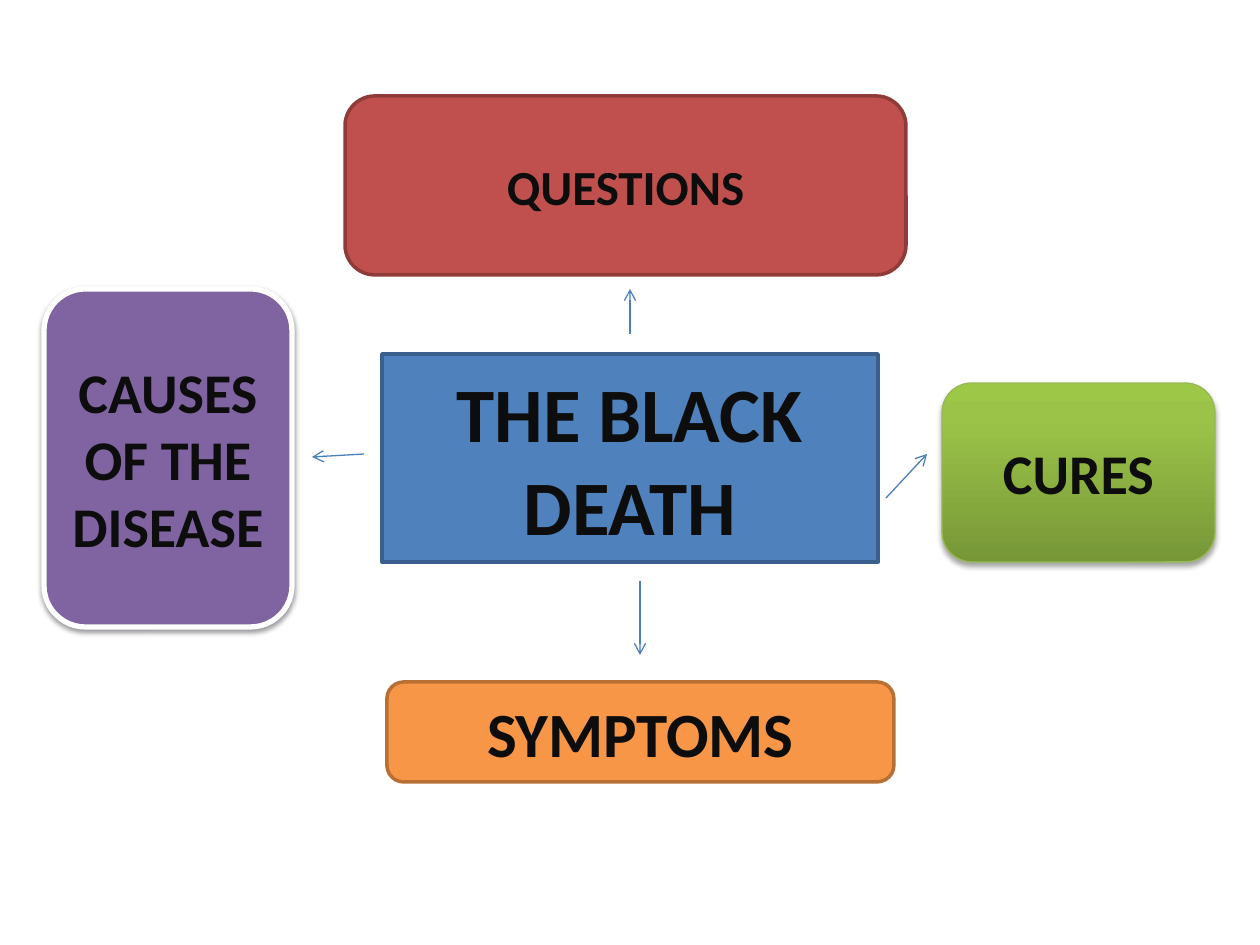
from copy import deepcopy

from lxml import etree
from pptx import Presentation
from pptx import util as u
from pptx.dml.color import RGBColor
from pptx.enum import shapes, text
from pptx.oxml import ns

PX = 914400 / 126
BLUE = RGBColor(0x4F, 0x81, 0xBD)
BLUE_EDGE = RGBColor(0x3A, 0x5F, 0x8C)
ARROW_BLUE = RGBColor(0x4B, 0x7E, 0xBC)
RED = RGBColor(0xC0, 0x50, 0x4D)
RED_EDGE = RGBColor(0x8E, 0x3B, 0x39)
PURPLE = RGBColor(0x80, 0x64, 0xA2)
ORANGE = RGBColor(0xF7, 0x96, 0x46)
ORANGE_EDGE = RGBColor(0xB7, 0x6F, 0x34)
GREEN_EDGE = RGBColor(0x98, 0xB9, 0x55)
WHITE = RGBColor(0xFF, 0xFF, 0xFF)
INK = RGBColor(0x0D, 0x0D, 0x0D)
GREEN_STOPS = [
    (0, RGBColor(0x77, 0x97, 0x37)),
    (0.8, RGBColor(0x9B, 0xC3, 0x48)),
    (1, RGBColor(0x9D, 0xC7, 0x46)),
]


def px(length):
    return u.Emu(round(length * PX))


def add_shadow(box, opacity, distance):
    """Drop a soft black shadow straight below the box."""
    effects = box._element.spPr.find(ns.qn("a:effectLst"))
    shadow = etree.SubElement(
        effects, ns.qn("a:outerShdw"), blurRad=str(u.Pt(3.1)),
        dist=str(u.Pt(distance)), dir="5400000", rotWithShape="0")
    color = etree.SubElement(shadow, ns.qn("a:srgbClr"), val="000000")
    etree.SubElement(color, ns.qn("a:alpha"), val=str(opacity * 1000))


deck = Presentation()
deck.slide_width, deck.slide_height = px(1260), px(945)
page = deck.slides.add_slide(deck.slide_layouts[6])

RECT = shapes.MSO_SHAPE.RECTANGLE
ROUND = shapes.MSO_SHAPE.ROUNDED_RECTANGLE
topics = [
    # wording, outline, left, top, width, height, fill, edge, edge pt, text pt
    ("THE BLACK DEATH", RECT, 382, 354, 496, 208, BLUE, BLUE_EDGE, 2, 44),
    ("CURES", ROUND, 942, 383, 273, 179, None, GREEN_EDGE, 0.75, 32),
    ("SYMPTOMS", ROUND, 387, 682, 507, 100, ORANGE, ORANGE_EDGE, 2, 36),
    ("CAUSES OF THE DISEASE", ROUND, 44, 289, 248, 338, PURPLE, WHITE, 3, 32),
    ("QUESTIONS", ROUND, 345, 96, 561, 179, RED, RED_EDGE, 2, 28),
]
boxes = {}
for wording, outline, left, top, width, height, fill, edge, edge_pt, size in topics:
    box = page.shapes.add_shape(outline, px(left), px(top), px(width), px(height))
    box.shadow.inherit = False
    if fill is not None:
        box.fill.solid()
        box.fill.fore_color.rgb = fill
    box.line.color.rgb = edge
    box.line.width = u.Pt(edge_pt)
    frame = box.text_frame
    frame.word_wrap = True
    frame.vertical_anchor = text.MSO_ANCHOR.MIDDLE
    para = frame.paragraphs[0]
    para.alignment = text.PP_ALIGN.CENTER
    span = para.add_run()
    span.text = wording
    span.font.name = "Calibri"
    span.font.size = u.Pt(size)
    span.font.bold = True
    span.font.color.rgb = INK
    boxes[wording] = box

cures = boxes["CURES"]
cures.fill.gradient()
cures.fill.gradient_angle = 90
stop_list = cures._element.spPr.find(".//" + ns.qn("a:gsLst"))
stop_list.append(deepcopy(stop_list[-1]))
for stop, (position, color) in zip(cures.fill.gradient_stops, GREEN_STOPS):
    stop.position = position
    stop.color.rgb = color

add_shadow(cures, 35, 1.8)
add_shadow(boxes["CAUSES OF THE DISEASE"], 38, 1.6)

arrows = [
    (886, 498, 927, 454),
    (364, 454, 312, 457),
    (640, 581, 640, 655),
    (630, 334, 630, 289),
]
for ends in arrows:
    arrow = page.shapes.add_connector(
        shapes.MSO_CONNECTOR.STRAIGHT, *[px(end) for end in ends])
    arrow.line.color.rgb = ARROW_BLUE
    arrow.line.width = u.Pt(0.75)
    etree.SubElement(arrow.line._get_or_add_ln(), ns.qn("a:tailEnd"), type="arrow")
    etree.SubElement(arrow._element.spPr, ns.qn("a:effectLst"))

deck.save("out.pptx")
